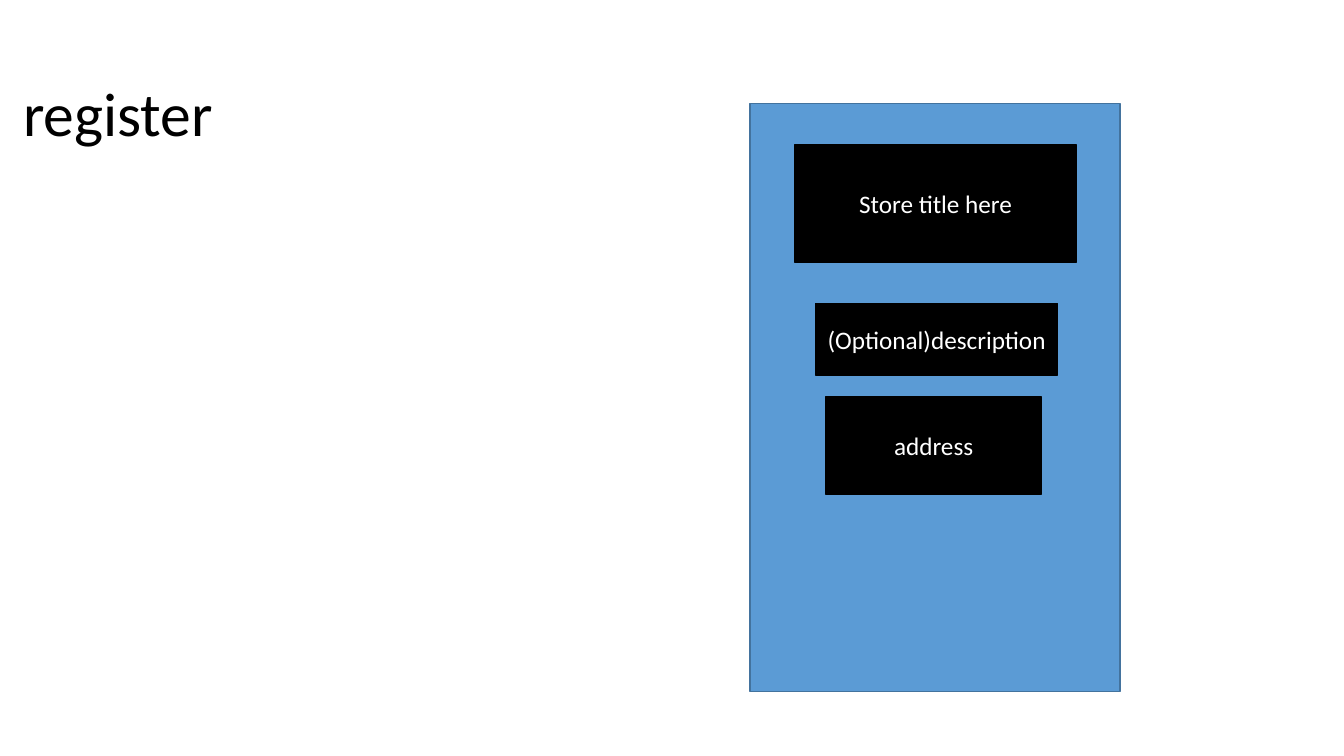
from pptx import Presentation
from pptx.dml.color import RGBColor
from pptx.enum.shapes import MSO_SHAPE
from pptx.enum.text import MSO_ANCHOR, PP_ALIGN
from pptx.util import Inches, Pt

FONT = "Calibri"
# label, then left, top, width, height relative to the panel
FIELDS = [
    ("Store title here", 0.44, 0.41, 2.8, 1.16),
    ("(Optional)description", 0.65, 1.98, 2.4, 0.71),
    ("address", 0.75, 2.91, 2.14, 0.96),
]


def color(hex_string):
    """Turn a hex string into a colour."""
    return RGBColor.from_string(hex_string)


def write(shape, text, size, hex_string, align):
    """Put one vertically centred line of text into a shape."""
    frame = shape.text_frame
    frame.word_wrap = True
    frame.vertical_anchor = MSO_ANCHOR.MIDDLE
    paragraph = frame.paragraphs[0]
    paragraph.alignment = align
    run = paragraph.add_run()
    run.text = text
    run.font.name = FONT
    run.font.size = Pt(size)
    run.font.color.rgb = color(hex_string)
    return paragraph


def add_box(slide, left, top, width, height, fill, line):
    """Add a flat rectangle with a one-point outline."""
    box = slide.shapes.add_shape(
        MSO_SHAPE.RECTANGLE, Inches(left), Inches(top), Inches(width), Inches(height))
    box.shadow.inherit = False
    box.fill.solid()
    box.fill.fore_color.rgb = color(fill)
    box.line.color.rgb = color(line)
    box.line.width = Pt(1)
    return box


def add_title(slide, left, top, width, height):
    """Add the slide heading."""
    title = slide.shapes.add_textbox(
        Inches(left), Inches(top), Inches(width), Inches(height))
    write(title, "register", 44, "000000", PP_ALIGN.LEFT).line_spacing = 0.9


def add_register_form(slide, left, top, width, height):
    """Add the blue panel and the form fields inside it."""
    add_box(slide, left, top, width, height, "5B9BD5", "43739E")
    for label, dx, dy, field_width, field_height in FIELDS:
        field = add_box(slide, left + dx, top + dy, field_width, field_height,
                        "000000", "000000")
        write(field, label, 18, "FFFFFF", PP_ALIGN.CENTER)


def main():
    """Build and save the slide."""
    prs = Presentation()
    prs.slide_width, prs.slide_height = Inches(13.33), Inches(7.5)
    slide = prs.slides.add_slide(prs.slide_layouts[6])
    add_title(slide, 0.13, 0.43, 2.15, 1.45)
    add_register_form(slide, 7.44, 1.03, 3.67, 5.83)
    prs.save("out.pptx")


main()
